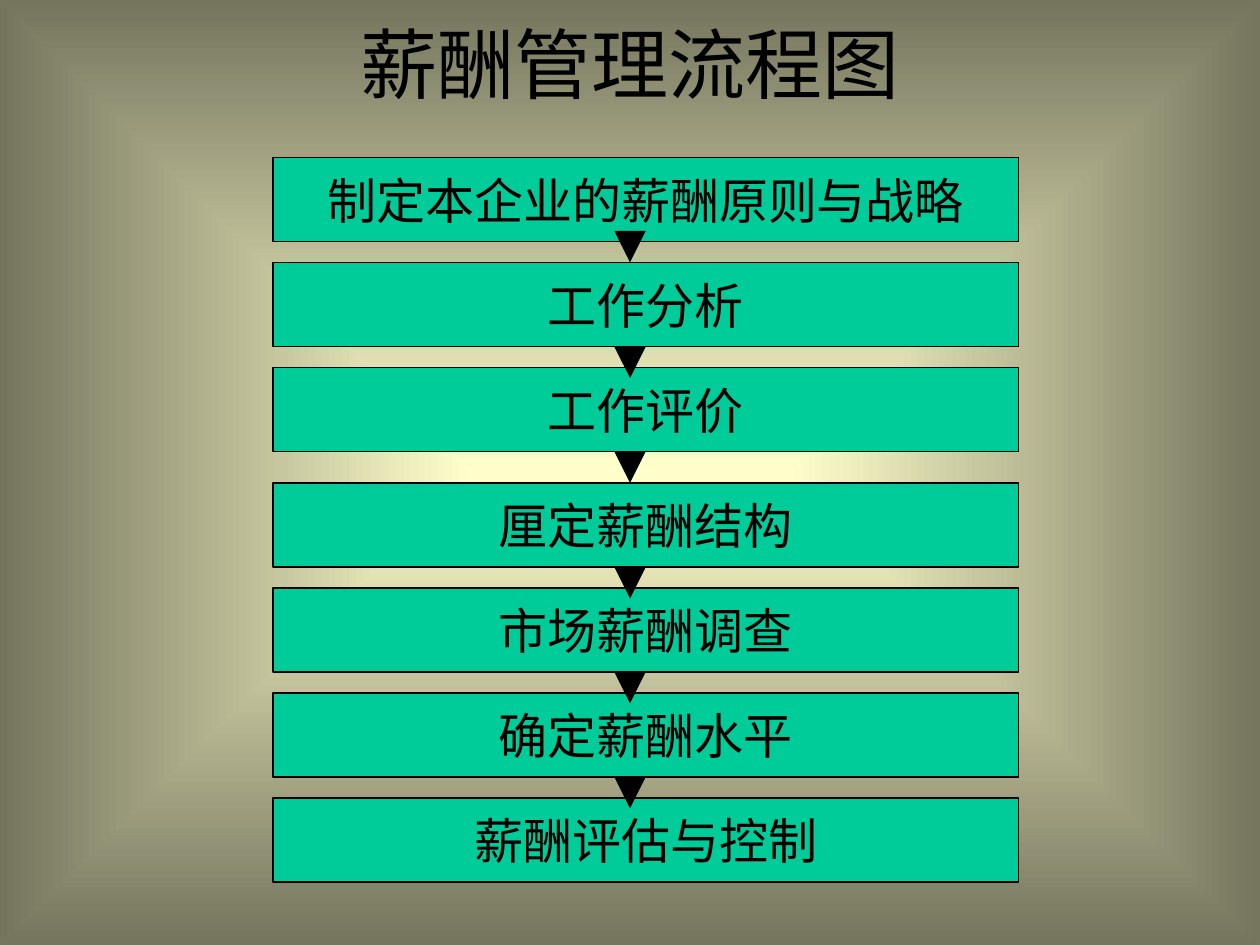
"""Build a one-page flow chart of the pay management process."""
from pptx import Presentation, util as u
from pptx.dml.color import RGBColor
from pptx.enum import shapes, text
from pptx.oxml import parse_xml
from pptx.oxml.ns import nsdecls, qn

TITLE = "薪酬管理流程图"
STEPS = [
    ("制定本企业的薪酬原则与战略", 120),
    ("工作分析", 200),
    ("工作评价", 280),
    ("厘定薪酬结构", 368),
    ("市场薪酬调查", 448),
    ("确定薪酬水平", 528),
    ("薪酬评估与控制", 608),
]
ARROW_TOPS = [184, 272, 352, 440, 520, 600]
ARROW_X, ARROW_LENGTH = 480, 16
BOX_LEFT, BOX_WIDTH, BOX_HEIGHT = 208, 568, 64
TITLE_AREA = (72, 8, 816, 80)
PAGE_SIZE = (960, 720)

BLACK = RGBColor(0, 0, 0)
GREEN = RGBColor(0x00, 0xCC, 0x99)
CREAM = RGBColor(0xFF, 0xFF, 0xCC)
OLIVE = RGBColor(0x75, 0x75, 0x5E)
FONT = "Times New Roman"


def px(*lengths):
    return [u.Inches(length / 96) for length in lengths]


def write(shape, words, size, wrap):
    frame = shape.text_frame
    frame.text = words
    para = frame.paragraphs[0]
    formats = [
        (frame, {"word_wrap": wrap, "auto_size": text.MSO_AUTO_SIZE.NONE,
                 "vertical_anchor": text.MSO_ANCHOR.MIDDLE}),
        (para, {"alignment": text.PP_ALIGN.CENTER}),
        (para.runs[0].font, {"name": FONT, "size": u.Pt(size)}),
        (para.runs[0].font.color, {"rgb": BLACK}),
    ]
    for target, values in formats:
        for name, value in values.items():
            setattr(target, name, value)


def paint_background(page):
    page.background.fill.gradient()
    old = page.element.find(".//" + qn("p:bgPr")).find(qn("a:gradFill"))
    stops = "".join(
        f'<a:gs pos="{position}"><a:srgbClr val="{color}"/></a:gs>'
        for position, color in ((0, CREAM), (100000, OLIVE)))
    old.getparent().replace(old, parse_xml(
        f'<a:gradFill {nsdecls("a")} rotWithShape="0"><a:gsLst>{stops}</a:gsLst>'
        '<a:path path="rect"><a:fillToRect l="50000" t="50000" r="50000" b="50000"/>'
        '</a:path></a:gradFill>'))


def add_step(page, words, top):
    box = page.shapes.add_shape(
        shapes.MSO_SHAPE.RECTANGLE, *px(BOX_LEFT, top, BOX_WIDTH, BOX_HEIGHT))
    box.shadow.inherit = False
    box.fill.solid()
    box.fill.fore_color.rgb = GREEN
    box.line.color.rgb = BLACK
    box.line.width = u.Pt(0.75)
    write(box, words, 28, False)


def add_arrow(page, top):
    arrow = page.shapes.add_connector(
        shapes.MSO_CONNECTOR.STRAIGHT,
        *px(ARROW_X, top, ARROW_X, top + ARROW_LENGTH))
    arrow.line.color.rgb = BLACK
    arrow.line.width = u.Pt(6)
    arrow.line._get_or_add_ln().append(
        parse_xml(f'<a:tailEnd {nsdecls("a")} type="triangle"/>'))
    arrow._element.spPr.append(parse_xml(f'<a:effectLst {nsdecls("a")}/>'))


def main():
    deck = Presentation()
    deck.slide_width, deck.slide_height = px(*PAGE_SIZE)
    page = deck.slides.add_slide(deck.slide_layouts[5])
    paint_background(page)
    title = page.shapes.title
    title.left, title.top, title.width, title.height = px(*TITLE_AREA)
    write(title, TITLE, 44, True)
    for words, top in STEPS:
        add_step(page, words, top)
    for top in ARROW_TOPS:
        add_arrow(page, top)
    deck.save("out.pptx")


if __name__ == "__main__":
    main()
